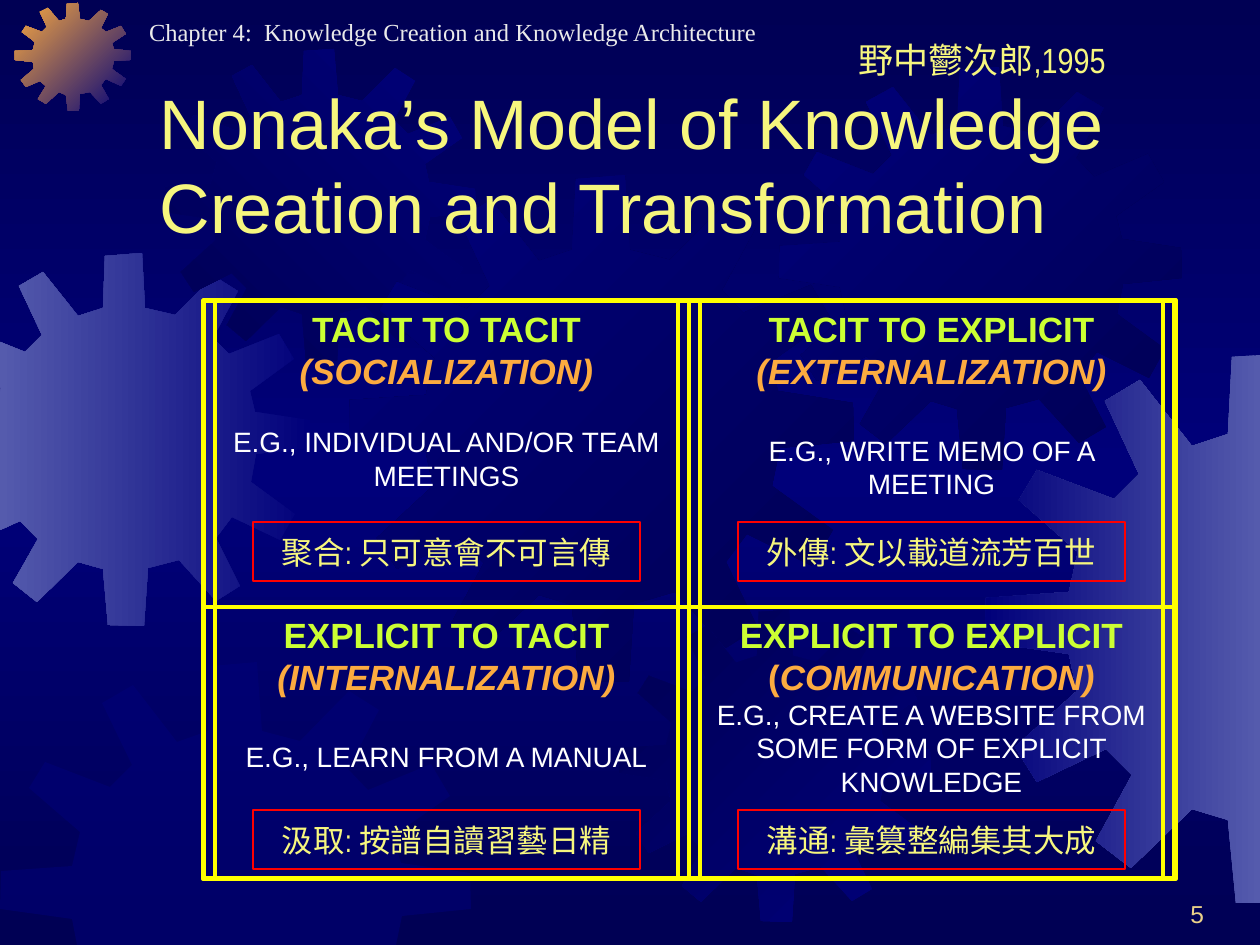
from copy import deepcopy
from dataclasses import dataclass

from lxml import etree
from pptx import Presentation
from pptx.dml.color import RGBColor
from pptx.enum.shapes import MSO_SHAPE
from pptx.enum.text import MSO_ANCHOR, PP_ALIGN
from pptx.oxml.ns import qn
from pptx.util import Pt

RECT = MSO_SHAPE.RECTANGLE
TOP, MIDDLE, BOTTOM = MSO_ANCHOR.TOP, MSO_ANCHOR.MIDDLE, MSO_ANCHOR.BOTTOM
LEFT, CENTER, RIGHT = PP_ALIGN.LEFT, PP_ALIGN.CENTER, PP_ALIGN.RIGHT
EMU_PER_PX = 914400 / 126
SLIDE_W, SLIDE_H = 1260, 945


@dataclass(frozen=True)
class Theme:
    night: str = "000054"
    navy: str = "00007A"
    steel: str = "555BAD"
    orange: str = "FCAB40"
    grid: str = "FFFF00"
    note_line: str = "FF0000"
    chapter: tuple = ("EAEAEA", {"name": "Times New Roman", "size": Pt(14)})
    title: tuple = ("F6F67E", {"name": "Arial", "size": Pt(40)})
    author: tuple = ("F6F67E", {"name": "Arial Narrow", "size": Pt(20)})
    note: tuple = ("F6F67E", {"name": "Arial Narrow", "size": Pt(18)})
    heading: tuple = ("CCFF33", {"name": "Arial", "size": Pt(20), "bold": True})
    paren: tuple = ("FCAB40", {"name": "Arial", "size": Pt(20), "bold": True})
    mode: tuple = ("FCAB40", {"name": "Arial", "size": Pt(20), "bold": True, "italic": True})
    example: tuple = ("FFFFFF", {"name": "Arial", "size": Pt(16)})
    number: tuple = ("EBD189", {"name": "Arial", "size": Pt(14)})


THEME = Theme()
GEAR_SIZE = 401
GEAR = [
    (255, 67), (223, 59), (219, 0), (180, 3), (177, 59), (151, 68), (113, 20), (87, 35),
    (112, 88), (94, 106), (38, 85), (25, 107), (68, 145), (61, 174), (1, 178), (0, 210),
    (61, 219), (67, 246), (22, 287), (38, 312), (88, 288), (107, 307), (81, 355), (106, 375),
    (151, 332), (177, 340), (183, 400), (222, 401), (226, 339), (259, 330), (299, 374), (325, 358),
    (299, 306), (316, 284), (368, 309), (384, 281), (336, 246), (342, 216), (401, 210), (400, 180),
    (341, 171), (335, 148), (383, 114), (367, 87), (313, 109), (296, 91), (323, 41), (297, 25),
]
GEARS = [
    ((-62, 253, 373, 373), THEME.navy, THEME.steel, 180),
    ((15, 3, 116, 108), THEME.navy, THEME.orange, 225),
    ((164, 49, 312, 312), THEME.navy, THEME.night, 135),
    ((349, 175, 505, 507), THEME.night, THEME.navy, 225),
    ((0, 662, 471, 471), THEME.navy, None, None),
    ((619, 610, 312, 312), THEME.navy, THEME.night, 225),
    ((779, 67, 403, 403), THEME.night, THEME.navy, 225),
    ((985, 353, 551, 551), THEME.steel, THEME.navy, 180),
]
COLUMNS = [204, 689]
COLUMN_W = 485
ROWS = [(301, 306, 221), (607, 271, 203)]
CELLS = [
    [("TACIT TO TACIT", [("(SOCIALIZATION)", THEME.mode)],
      "E.G., INDIVIDUAL AND/OR TEAM MEETINGS", 19, "聚合: 只可意會不可言傳"),
     ("TACIT TO EXPLICIT", [("(EXTERNALIZATION)", THEME.mode)],
      "E.G., WRITE MEMO OF A MEETING", 24, "外傳: 文以載道流芳百世")],
    [("EXPLICIT TO TACIT", [("(INTERNALIZATION)", THEME.mode)],
      "E.G., LEARN FROM A MANUAL", 24, "汲取: 按譜自讀習藝日精"),
     ("EXPLICIT TO EXPLICIT", [("(", THEME.paren), ("COMMUNICATION)", THEME.mode)],
      "E.G., CREATE A WEBSITE FROM SOME FORM OF EXPLICIT KNOWLEDGE", 0,
      "溝通: 彙篡整編集其大成")],
]


def px(n):
    return round(n * EMU_PER_PX)


def rgb(color):
    return RGBColor.from_string(color)


def set_gradient(fill, colors, angle):
    fill.gradient()
    fill.gradient_angle = (360 - angle) % 360
    for stop, color in zip(fill.gradient_stops, colors):
        stop.color.rgb = rgb(color)


def set_background(slide):
    set_gradient(slide.background.fill, (THEME.night, THEME.navy), 90)
    stops = slide._element.xpath(".//a:gsLst")[0]
    stops.append(deepcopy(stops[0]))
    for stop, position in zip(stops, (0, 50000, 100000)):
        stop.set("pos", str(position))


def clip(points, axis, limit, sign):
    kept = []
    for a, b in zip(points, points[1:] + points[:1]):
        a_in, b_in = (sign * (p[axis] - limit) >= 0 for p in (a, b))
        if a_in:
            kept.append(a)
        if a_in != b_in:
            t = (limit - a[axis]) / (b[axis] - a[axis])
            kept.append(tuple(u + t * (v - u) for u, v in zip(a, b)))
    return kept


def add_gear(slide, box, start, end, angle):
    x, y, w, h = box
    points = [(x + w * u / GEAR_SIZE, y + h * v / GEAR_SIZE) for u, v in GEAR]
    for edge in ((0, 0, 1), (0, SLIDE_W, -1), (1, SLIDE_H, -1)):
        points = clip(points, *edge)
    builder = slide.shapes.build_freeform(*points[0], scale=EMU_PER_PX)
    builder.add_line_segments(points[1:], close=True)
    sp = builder.convert_to_shape()
    sp.shadow.inherit = False
    sp.line.fill.background()
    if end:
        set_gradient(sp.fill, (start, end), angle)
    else:
        sp.fill.solid()
        sp.fill.fore_color.rgb = rgb(start)
        color = sp._element.xpath("./p:spPr/a:solidFill/a:srgbClr")[0]
        etree.SubElement(color, qn("a:alpha")).set("val", "50000")


def write(sp, paragraphs, align=LEFT, anchor=TOP, wrap=True, side=13):
    tf = sp.text_frame
    tf.word_wrap = wrap
    tf.vertical_anchor = anchor
    tf.margin_left = tf.margin_right = px(side)
    for i, (runs, gap) in enumerate(paragraphs):
        p = tf.add_paragraph() if i else tf.paragraphs[0]
        p.alignment = align
        if gap:
            p.space_before = Pt(gap)
        for text, (color, formats) in runs:
            r = p.add_run()
            r.text = text
            r.font.color.rgb = rgb(color)
            for name, value in formats.items():
                setattr(r.font, name, value)


def add_label(slide, box, text, style, **layout):
    sp = slide.shapes.add_textbox(*map(px, box))
    write(sp, [([(text, style)], 0)], **layout)


def add_frame(slide, box, color, width):
    sp = slide.shapes.add_shape(RECT, *map(px, box))
    sp.shadow.inherit = False
    sp.fill.background()
    sp.line.color.rgb = rgb(color)
    sp.line.width = Pt(width)
    return sp


def add_cell(slide, x, y, h, heading, mode, example, gap):
    inner = add_frame(slide, (x + 11, y, COLUMN_W - 22, h), THEME.grid, 2)
    write(inner, [([(heading, THEME.heading)], 0), (mode, 0),
                  ([(example, THEME.example)], gap)], align=CENTER)
    add_frame(slide, (x, y, COLUMN_W, h), THEME.grid, 2)


def add_note(slide, x, y, text):
    sp = add_frame(slide, (x, y, 387, 59), THEME.note_line, 0.75)
    write(sp, [([(text, THEME.note)], 0)], align=CENTER, anchor=MIDDLE, wrap=False)


def main():
    prs = Presentation()
    prs.slide_width, prs.slide_height = px(SLIDE_W), px(SLIDE_H)
    slide = prs.slides.add_slide(prs.slide_layouts[6])
    set_background(slide)
    for gear in GEARS:
        add_gear(slide, *gear)
    add_label(slide, (136, 11, 777, 43),
              "Chapter 4:  Knowledge Creation and Knowledge Architecture", THEME.chapter)
    add_label(slide, (147, 96, 1071, 158),
              "Nonaka’s Model of Knowledge Creation and Transformation", THEME.title, anchor=BOTTOM)
    for (y, h, note_dy), row in zip(ROWS, CELLS):
        for x, (heading, mode, example, gap, note) in zip(COLUMNS, row):
            add_cell(slide, x, y, h, heading, mode, example, gap)
            add_note(slide, x + 49, y + note_dy, note)
    add_frame(slide, (203, 300, 973, 579), THEME.grid, 2)
    add_label(slide, (848, 35, 268, 49), "野中鬱次郎,1995", THEME.author,
              align=CENTER, anchor=MIDDLE, wrap=False, side=0)
    add_label(slide, (955, 872, 262, 63), "5", THEME.number, align=RIGHT, anchor=BOTTOM)
    prs.save("out.pptx")


if __name__ == "__main__":
    main()
